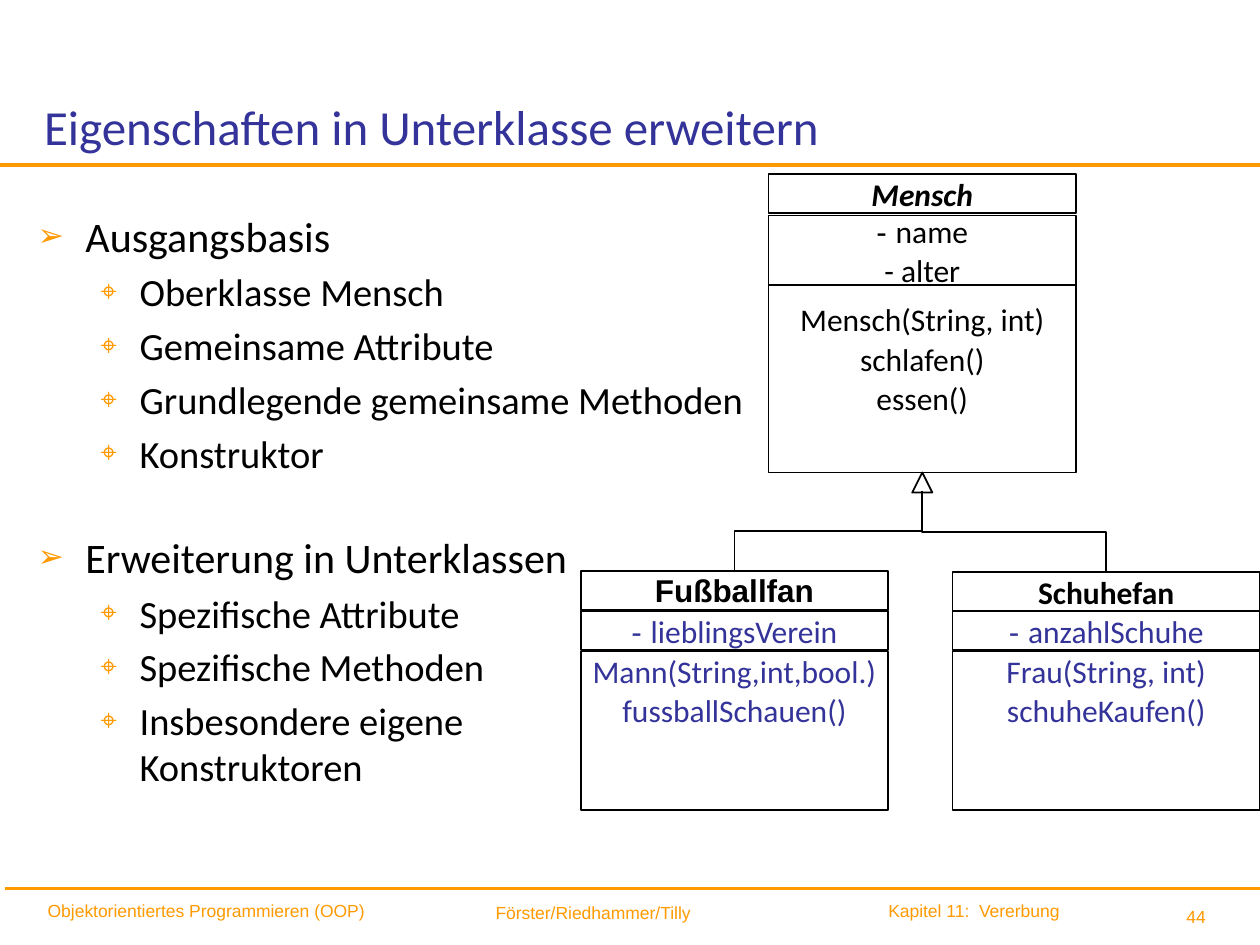
import pptx
import pptx.util
import pptx.dml.color
import pptx.enum.shapes
import pptx.enum.text
import pptx.oxml
import pptx.oxml.ns

Inches, Pt = pptx.util.Inches, pptx.util.Pt
ALIGN = pptx.enum.text.PP_ALIGN
ANCHOR = pptx.enum.text.MSO_ANCHOR
LINK = pptx.enum.shapes.MSO_CONNECTOR
RECT = pptx.enum.shapes.MSO_SHAPE.RECTANGLE
NS = pptx.oxml.ns.nsdecls("a")


def paint(code):
    return pptx.dml.color.RGBColor.from_string(code)


def write(para, text, size=18, font="Calibri", color="000000", bold=False,
          slant=False, align=ALIGN.LEFT, before=0):
    """Add text to a paragraph; a newline becomes a line break."""
    para.alignment, para.space_before = align, Pt(before)
    for i, part in enumerate(text.split("\n")):
        if i:
            para.add_line_break()
        run = para.add_run()
        run.text = part
        run.font.size, run.font.name = Pt(size), font
        run.font.bold, run.font.italic = bold, slant
        run.font.color.rgb = paint(color)


class Deck:
    black, blue, gold, rule = "000000", "333399", "FF9A00", "FF9900"

    def __init__(self):
        self.prs = pptx.Presentation()
        self.prs.slide_width, self.prs.slide_height = Inches(10), Inches(7.5)
        self.slide = self.prs.slides.add_slide(self.prs.slide_layouts[6])
        self.shapes = self.slide.shapes

    def frame(self, shape, pad, anchor, wrap):
        """Set insets (left, top, right, bottom), anchor and wrapping."""
        tf = shape.text_frame
        (tf.margin_left, tf.margin_top,
         tf.margin_right, tf.margin_bottom) = map(Inches, pad)
        tf.vertical_anchor, tf.word_wrap = anchor, wrap
        return tf

    def text(self, at, pad=(0.1, 0.05, 0.1, 0.05), anchor=ANCHOR.TOP):
        box = self.shapes.add_textbox(*map(Inches, at))
        return self.frame(box, pad, anchor, True)

    def foot(self, text, at, pad, align=ALIGN.LEFT):
        tf = self.text(at, pad)
        write(tf.paragraphs[0], text, size=10, font="Arial",
              color=self.gold, align=align, before=5)

    def bullet(self, para, text, level, before):
        mark, size, left, hang = (("➢", 24, 0.38, 0.38),
                                  ("⌖", 22, 0.81, 0.31))[level]
        write(para, text, size=size, before=before)
        para.level = level
        props = para._p.get_or_add_pPr()
        props.set("marL", str(Inches(left)))
        props.set("indent", str(-Inches(hang)))
        for xml in (f'<a:buClr {NS}><a:srgbClr val="{self.gold}"/></a:buClr>',
                    f'<a:buSzPct {NS} val="75000"/>',
                    f'<a:buFont {NS} typeface="Arial"/>',
                    f'<a:buChar {NS} char="{mark}"/>'):
            props.append(pptx.oxml.parse_xml(xml))

    def cell(self, at, lines, foot=0, **style):
        """Draw one compartment; a pair is a mark in Arial and its text."""
        box = self.shapes.add_shape(RECT, *map(Inches, at))
        self.outline(box)
        tf = self.frame(box, (0, 0, 0, foot), ANCHOR.MIDDLE, False)
        style["align"] = ALIGN.CENTER
        for i, line in enumerate(lines):
            para = tf.add_paragraph() if i else tf.paragraphs[0]
            if isinstance(line, tuple):
                mark, line = line
                write(para, mark, font="Arial", **style)
            write(para, line, **style)

    def outline(self, shape):
        shape.shadow.inherit = False
        shape.fill.background()
        shape.line.color.rgb, shape.line.width = paint(self.black), Pt(1)

    def link(self, kind, ends, color, width):
        line = self.shapes.add_connector(kind, *map(Inches, ends))
        line.line.color.rgb, line.line.width = paint(color), Pt(width)
        line._element.spPr.append(
            pptx.oxml.parse_xml(f"<a:effectLst {NS}/>"))
        return line

    def elbow(self, x, y, tox, toy):
        """Join two points by an elbow that leaves and arrives vertically."""
        midx, midy = (x + tox) / 2, (y + toy) / 2
        w, h = abs(y - toy) / 2, abs(x - tox) / 2
        turn = 270 if x < tox else 90
        if turn == 90:
            w = -w
        line = self.link(LINK.ELBOW, (midx - w, midy - h, midx + w, midy + h),
                         self.black, 1)
        line._element.spPr.xfrm.set("rot", str(turn * 60000))

    def tip(self, x, y, side):
        """Draw the hollow triangle of an inheritance arrow."""
        form = self.shapes.build_freeform(Inches(x), Inches(y), scale=1.0)
        form.add_line_segments([(Inches(x + side / 2), Inches(y + side)),
                                (Inches(x - side / 2), Inches(y + side))])
        self.outline(form.convert_to_shape())


def main():
    deck = Deck()
    deck.foot("44", (6.56, 7.14, 3.17, 0.36), (0.1, 0.05, 0.16, 0.05),
              ALIGN.RIGHT)
    deck.foot("Förster/Riedhammer/Tilly", (3.44, 7.11, 2.07, 0.36),
              (0.1, 0.05, 0.03, 0.05), ALIGN.RIGHT)
    deck.foot("Kapitel 11:  Vererbung", (7.05, 7.09, 2.2, 0.36),
              (0, 0.05, 0.1, 0.05))
    deck.foot("Objektorientiertes Programmieren (OOP)",
              (0.28, 7.09, 2.89, 0.36), (0.1, 0.05, 0, 0.05))
    for left, y in ((0.04, 7.05), (0, 1.31)):
        deck.link(LINK.STRAIGHT, (left, y, 10.04, y), deck.rule, 2)

    title = deck.text((0.35, 0.3, 8.12, 0.93), (0, 0, 0, 0), ANCHOR.BOTTOM)
    write(title.paragraphs[0], "Eigenschaften in Unterklasse erweitern",
          size=28, color=deck.blue)

    body = deck.text((0.2, 1.62, 9.52, 5.43))
    topics = (
        ("Ausgangsbasis", 4.8,
         ("Oberklasse Mensch", "Gemeinsame Attribute",
          "Grundlegende gemeinsame Methoden", "Konstruktor")),
        ("Erweiterung in Unterklassen", 31.6,
         ("Spezifische Attribute", "Spezifische Methoden",
          "Insbesondere eigene\nKonstruktoren")))
    para = body.paragraphs[0]
    for topic, gap, points in topics:
        deck.bullet(para or body.add_paragraph(), topic, 0, gap)
        for point in points:
            deck.bullet(body.add_paragraph(), point, 1, 4.4)
        para = None

    wide, head = 2.44, 0.31
    deck.cell((6.1, 1.38, wide, head), ["Mensch"], bold=True, slant=True)
    deck.cell((6.1, 1.71, wide, 0.55), [("- ", "name"), "- alter"],
              before=0.9)
    deck.cell((6.1, 2.26, wide, 1.49),
              ["Mensch(String, int)", "schlafen()", "essen()"],
              foot=0.32, before=0.9)

    kids = ((4.61, 4.53, "Fußballfan", "Arial", "lieblingsVerein",
             ["Mann(String,int,bool.)", "fussballSchauen()"]),
            (7.56, 4.54, "Schuhefan", "Calibri", "anzahlSchuhe",
             ["Frau(String, int)", "schuheKaufen()"]))
    for x, y, name, font, field, calls in kids:
        deck.cell((x, y, wide, head), [name], font=font, bold=True)
        deck.cell((x, 4.85, wide, head), [("- ", field)],
                  color=deck.blue, before=0.9)
        deck.cell((x, 5.17, wide, 1.26), calls, foot=0.64,
                  color=deck.blue, before=0.9)

    deck.tip(7.32, 3.75, 0.16)
    for x, y, *_ in kids:
        deck.elbow(x + wide / 2, y, 7.32, 3.9)
    deck.prs.save("out.pptx")


if __name__ == "__main__":
    main()
